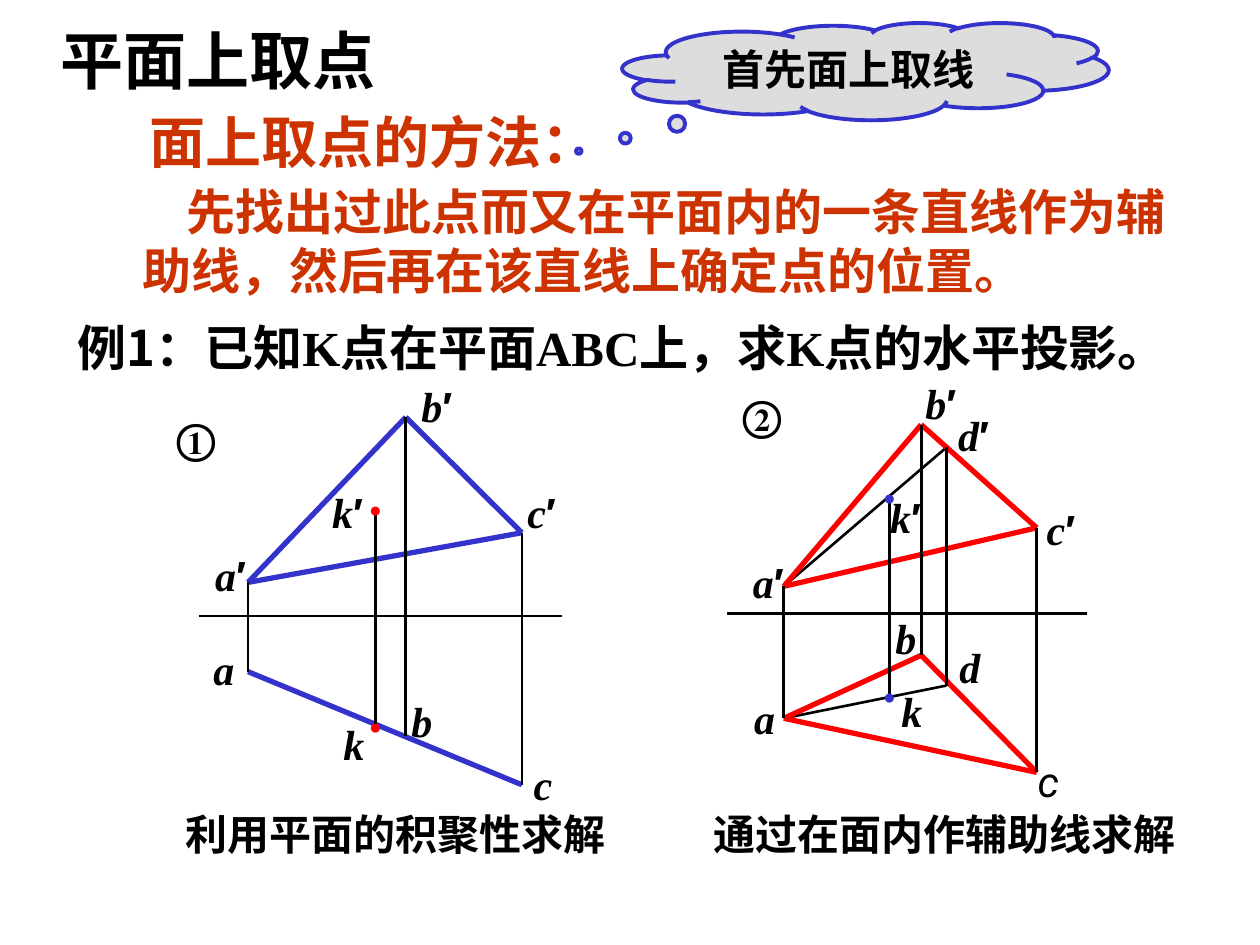
from pptx import Presentation
from pptx.dml.color import RGBColor
from pptx.enum.dml import MSO_FILL
from pptx.enum.shapes import MSO_CONNECTOR, MSO_SHAPE
from pptx.enum.text import MSO_ANCHOR, MSO_AUTO_SIZE, PP_ALIGN
from pptx.oxml.ns import qn
from pptx.util import Cm, Pt

LINE = MSO_CONNECTOR.STRAIGHT
CLOUD = MSO_SHAPE.CLOUD_CALLOUT
MIDDLE = MSO_ANCHOR.MIDDLE
FIXED = MSO_AUTO_SIZE.NONE
LEFT, CENTER = PP_ALIGN.LEFT, PP_ALIGN.CENTER

BLACK, RED, BLUE, RUST, GREY = "000000", "FF0000", "3333CC", "CC3300", "DDDDDD"
HAN, SERIF, SANS = "Roboto", "Times New Roman", "Arial"
THIN, THICK = 1.5, 3

# Points and label corners in cm; a trailing ' marks the frontal projection
LEFT_FIG = {
    "color": BLUE, "dot": RED,
    "points": {
        "a'": (5, 11.74), "b'": (8.18, 8.41), "c'": (10.52, 10.74),
        "a": (5, 13.54), "b": (8.18, 14.83), "c": (10.52, 15.82),
        "k'": (7.57, 10.26), "k": (7.57, 14.63)},
    "labels": {
        "a'": (4.04, 10.95), "b'": (8.2, 7.54), "c'": (10.31, 9.68),
        "k'": (6.4, 9.68), "a": (4.06, 12.85), "b": (8.05, 13.89),
        "c": (10.49, 15.16), "k": (6.68, 14.35)},
    "aux": [],
    "edges": [("a'", "b'"), ("b'", "c'"), ("c'", "a'"), ("a", "c")],
    "axis": (4.01, 11.33, 12.42),
    "number": ("①", 3.3, 8.18),
    "note": ("利用平面的积聚性求解", 3.48, 8.97),
}
RIGHT_FIG = {
    "color": RED, "dot": BLUE,
    "points": {
        "a'": (15.8, 11.82), "b'": (18.57, 8.56), "c'": (20.9, 10.64),
        "a": (15.8, 14.48), "b": (18.57, 13.21), "c": (20.9, 15.57),
        "d'": (19.08, 9.02), "d": (19.08, 13.82),
        "k'": (17.93, 10.03), "k": (17.93, 14.04)},
    "labels": {
        "a'": (14.88, 11.1), "b'": (18.36, 7.49), "c'": (20.78, 10.03),
        "d'": (19.02, 8.13), "k'": (17.65, 9.78), "a": (14.96, 13.84),
        "b": (17.81, 12.22), "c": (20.68, 15.11), "d": (19.1, 12.8),
        "k": (17.93, 13.69)},
    "plain": "c",
    "aux": [("a'", "d'"), ("a", "d")],
    "edges": [("a'", "b'"), ("b'", "c'"), ("c'", "a'"),
              ("a", "b"), ("b", "c"), ("c", "a")],
    "axis": (14.66, 21.92, 12.37),
    "number": ("②", 14.71, 7.72),
    "note": ("通过在面内作辅助线求解", 14.15, 9.8),
}


def paint(target, color):
    """Give a fill, or a font's or line's fill, a solid colour."""
    fill = target if hasattr(target, "solid") else target.fill
    if fill.type != MSO_FILL.SOLID:
        fill.solid()
    fill.fore_color.rgb = RGBColor.from_string(color)


def write(shape, runs, size, color=BLACK, align=CENTER, wrap=False):
    """Fill a shape with runs of (text, font[, changes])."""
    frame = shape.text_frame
    form = {"auto_size": FIXED, "word_wrap": wrap, "vertical_anchor": MIDDLE}
    for key, value in form.items():
        setattr(frame, key, value)
    para = frame.paragraphs[0]
    para.alignment = align
    for text, name, *more in runs:
        run = para.add_run()
        run.text = text
        look = {"name": name, "size": Pt(size), "bold": True, "italic": False}
        look.update(*more)
        for key, value in look.items():
            setattr(run.font, key, value)
        paint(run.font, color)
    return para


def add_text(slide, box, runs, size, **form):
    shape = slide.shapes.add_textbox(*map(Cm, box))
    return write(shape, runs, size, **form)


def add_line(slide, start, end, color=BLACK, width=THIN):
    line = slide.shapes.add_connector(LINE, *map(Cm, (*start, *end)))
    line.line.width = Pt(width)
    paint(line.line, color)
    props = line._element.spPr
    props.append(props.makeelement(qn("a:effectLst"), {}))


def add_label(slide, name, spot, plain):
    """Italic point name, with an upright prime where it has one."""
    look = {"italic": True, "bold": not plain}
    runs = [(name[0], HAN if plain else SERIF, look)]
    if name.endswith("'"):
        runs.append(("′", SANS))
    add_text(slide, (*spot, 0.91 if len(name) == 1 else 1.22, 1.27), runs, 24)


def add_dot(slide, x, y, color):
    side = 0.76
    box = (x - side / 2, y - side / 2, side, side)
    add_text(slide, box, [("●", SERIF)], 12, color=color)


def add_figure(slide, fig):
    points = fig["points"]
    for start, end in fig["aux"]:
        add_line(slide, points[start], points[end])
    for start, end in fig["edges"]:
        add_line(slide, points[start], points[end], fig["color"], THICK)
    # Projection lines join each point to its primed partner
    for name in points:
        if name.endswith("'"):
            add_line(slide, points[name], points[name[0]])
    first, last, level = fig["axis"]
    add_line(slide, (first, level), (last, level))
    for name in ("k'", "k"):
        add_dot(slide, *points[name], fig["dot"])
    for name, spot in fig["labels"].items():
        add_label(slide, name, spot, name == fig.get("plain"))
    # Number and caption
    mark, x, y = fig["number"]
    add_text(slide, (x, y, 1.3, 1.27), [(mark, SERIF)], 24)
    note, x, width = fig["note"]
    add_text(slide, (x, 16.18, width, 1.27), [(note, HAN)], 24)


def add_title(slide):
    title = slide.shapes.title
    place = {"left": 0.97, "top": 0.3, "width": 6.86, "height": 1.78}
    for key, value in place.items():
        setattr(title, key, Cm(value))
    write(title, [("平面上取点", HAN)], 36, align=LEFT)


def add_cloud(slide):
    cloud = slide.shapes.add_shape(CLOUD, *map(Cm, (12.55, 0.46, 9.8, 1.96)))
    cloud.adjustments[0], cloud.adjustments[1] = -0.59, 0.82
    cloud.shadow.inherit = False
    paint(cloud.fill, GREY)
    paint(cloud.line, BLUE)
    cloud.line.width = Pt(2.25)
    write(cloud, [("首先面上取线", HAN)], 24, wrap=True)


def add_method(slide):
    add_text(slide, (2.62, 2.03, 9.83, 1.63), [("面上取点的方法：", HAN)],
             32, color=RUST, align=CENTER)
    rule = "先找出过此点而又在平面内的一条直线作为辅助线，然后再在该直线上确定点的位置。"
    para = add_text(slide, (2.62, 3.53, 21.92, 2.64), [(rule, HAN)],
                    28, color=RUST, align=LEFT, wrap=True)
    para._p.get_or_add_pPr().set("indent", str(Cm(0.89)))


def add_task(slide):
    runs = [("例", HAN), ("1", "Noto Sans CJK SC"), ("：已知", HAN),
            ("K", SERIF), ("点在平面", HAN), ("ABC", SERIF),
            ("上，求", HAN), ("K", SERIF), ("点的水平投影。", HAN)]
    add_text(slide, (1.32, 6.27, 22.9, 1.45), runs, 28, align=LEFT, wrap=True)


def main():
    deck = Presentation()
    deck.slide_width, deck.slide_height = Cm(25.4), Cm(19.05)
    slide = deck.slides.add_slide(deck.slide_layouts[5])
    add_title(slide)
    add_method(slide)
    add_task(slide)
    for fig in (LEFT_FIG, RIGHT_FIG):
        add_figure(slide, fig)
    add_cloud(slide)
    deck.save("out.pptx")


if __name__ == "__main__":
    main()
